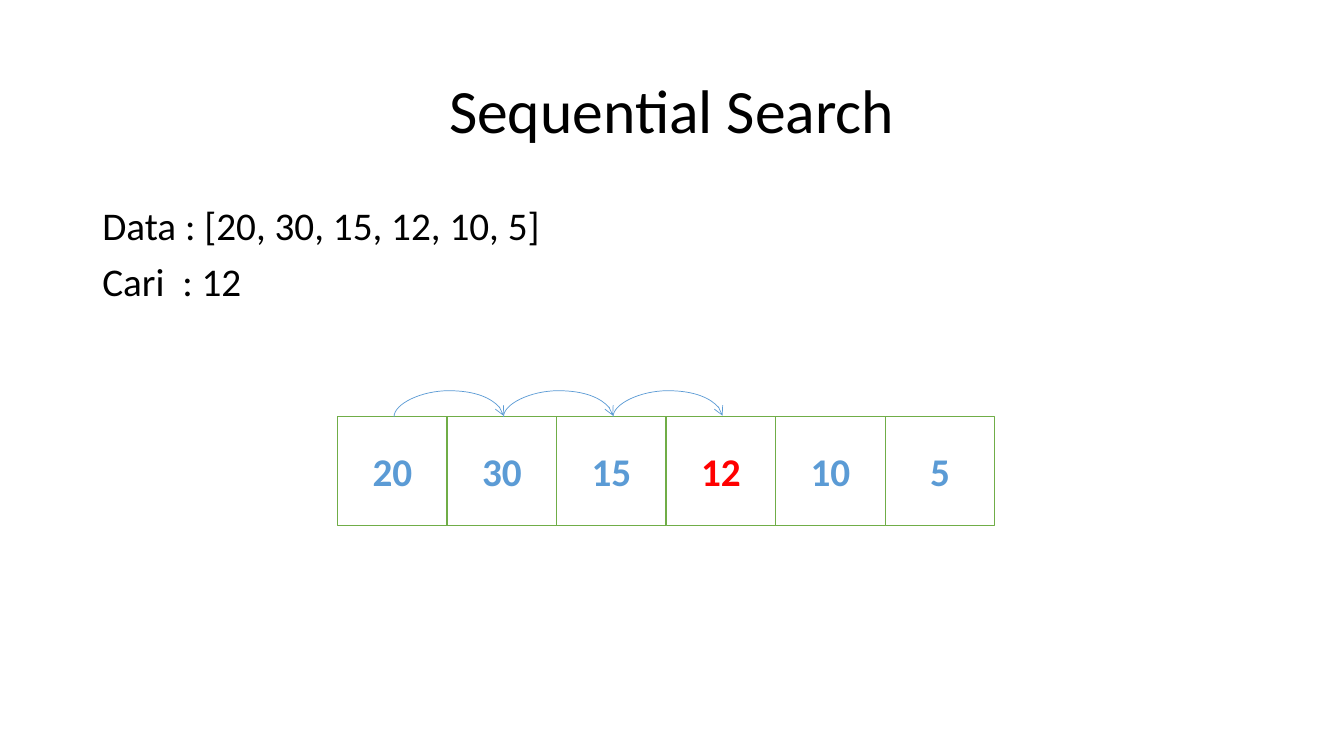
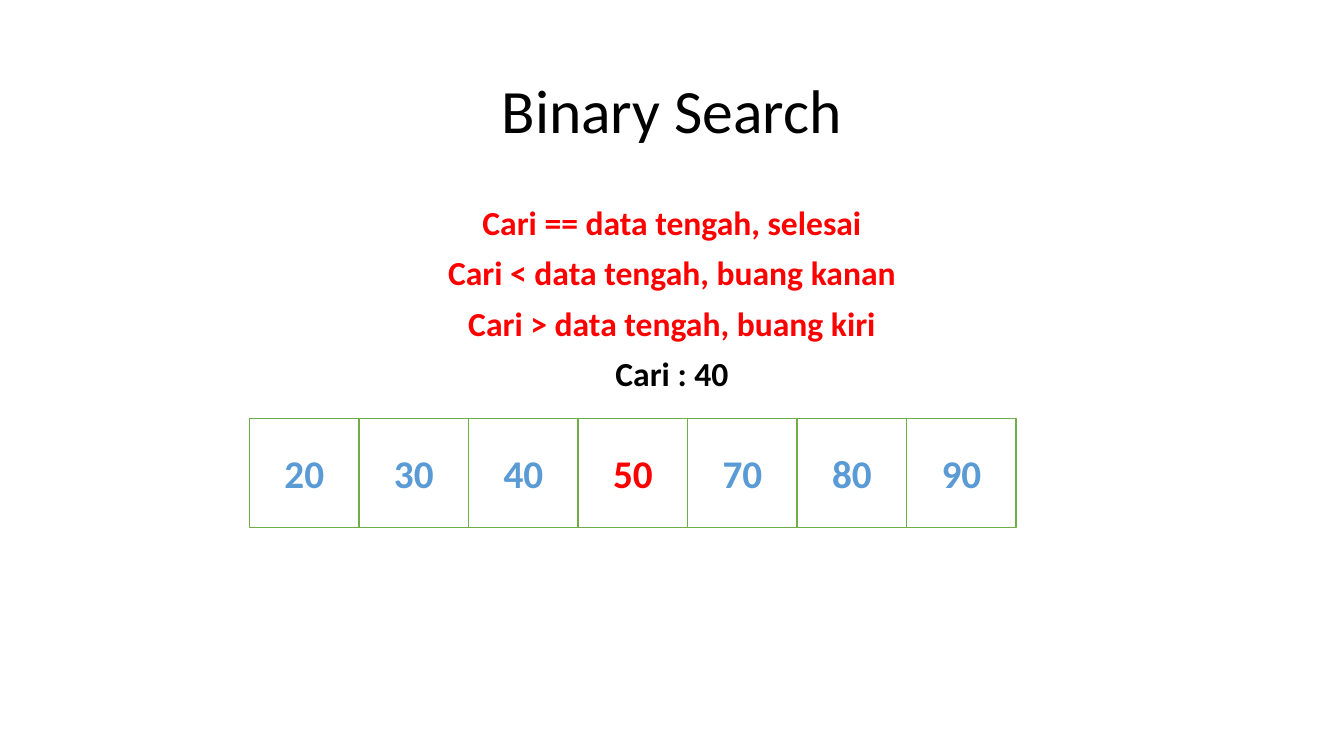
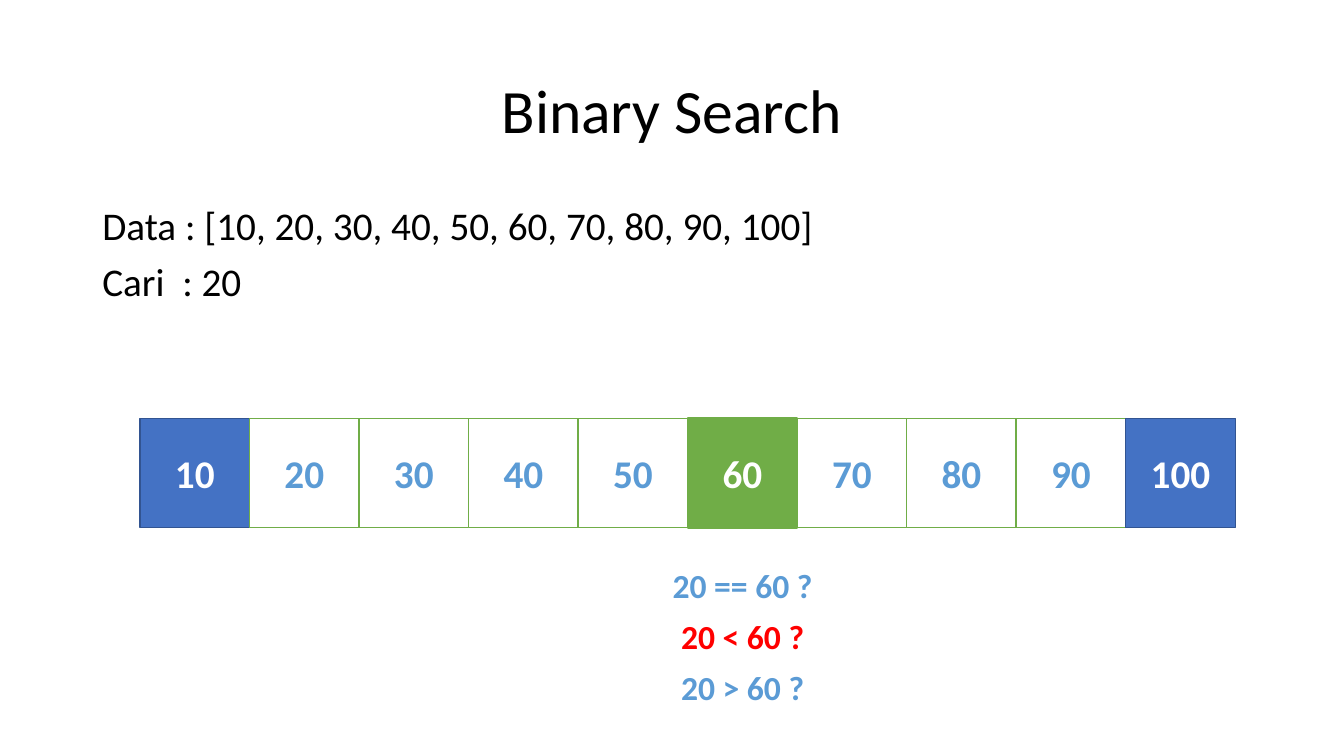
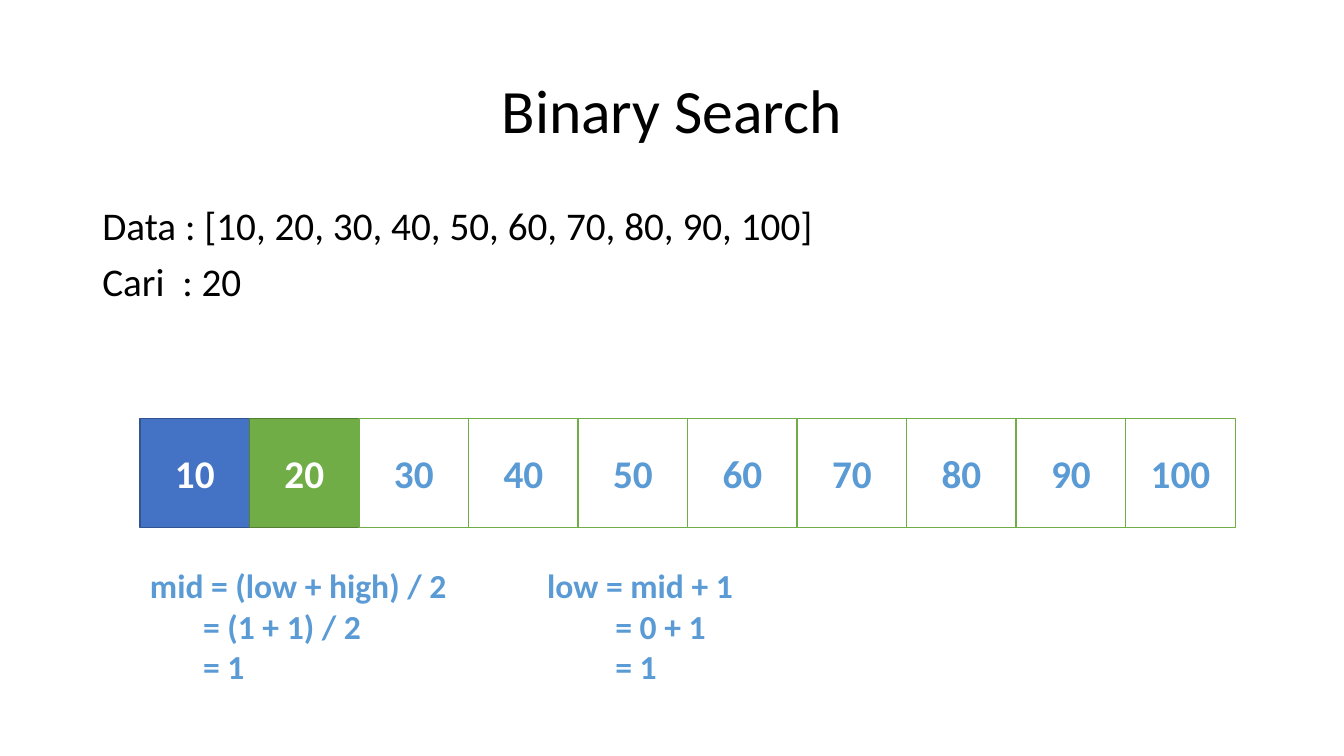
from lxml import etree
from pptx import Presentation
from pptx.dml.color import RGBColor
from pptx.enum import shapes, text
from pptx.oxml.ns import qn
from pptx.util import Cm, Pt

COLORS = {
    "black": "000000", "white": "FFFFFF", "red": "FF0000", "sky": "5B9BD5",
    "blue": "4472C4", "navy": "325491", "green": "70AD47", "forest": "538035",
}
FONT = "Calibri"
CELL = 2.76       # side of an array cell, cm
ROW_LEFT = 3.53   # first cell of the ten-cell array, cm
ROW_TOP = 10.54
NOTE_TOP = 14.12

# Cell states: fill, outline, outline width in points, number colour
STATES = {
    "plain": ("white", "green", 1, "sky"),
    "hit": ("white", "green", 1, "red"),
    "bound": ("blue", "navy", 1, "white"),
    "middle": ("green", "green", 1.5, "white"),
    "found": ("green", "forest", 1, "white"),
}

TENS = range(10, 101, 10)


def rgb(name):
    return RGBColor.from_string(COLORS[name])


def write(paragraph, words, size, color, bold=False, align=None):
    paragraph.alignment = align
    run = paragraph.add_run()
    run.text = words
    run.font.name = FONT
    run.font.size = Pt(size)
    run.font.bold = bold
    run.font.color.rgb = rgb(color)


def add_lines(slide, box, lines, size, bold=False, align=None,
              anchor=text.MSO_ANCHOR.TOP, spacing=None, before=0, indent=0):
    """Text box with one paragraph per (words, colour); indent starts at line two."""
    frame = slide.shapes.add_textbox(*map(Cm, box)).text_frame
    frame.word_wrap = True
    frame.vertical_anchor = anchor
    for i, (words, color) in enumerate(lines):
        paragraph = frame.add_paragraph() if i else frame.paragraphs[0]
        paragraph.line_spacing = spacing
        paragraph.space_before = Pt(before)
        if i and indent:
            paragraph._p.get_or_add_pPr().set("marL", str(Cm(indent)))
        write(paragraph, words, size, color, bold, align)


def add_title_slide(deck, title):
    slide = deck.slides.add_slide(deck.slide_layouts[6])
    add_lines(slide, (2.33, 1.01, 29.21, 3.68), [(title, "black")], 44,
              align=text.PP_ALIGN.CENTER, anchor=text.MSO_ANCHOR.MIDDLE, spacing=0.9)
    return slide


def add_body(slide, lines, size=28, bold=False, align=None):
    add_lines(slide, (2.33, 5.08, 29.21, 12.09), lines, size, bold, align,
              spacing=0.9, before=10)


def add_problem(slide, numbers, target):
    data = ", ".join(map(str, numbers))
    add_body(slide, [(f"Data : [{data}]", "black"), (f"Cari  : {target}", "black")])


def add_array(slide, numbers, left=ROW_LEFT, top=ROW_TOP, states=None):
    """Row of touching cells; states maps a number to its cell state."""
    for i, number in enumerate(numbers):
        fill, outline, width, color = STATES[(states or {}).get(number, "plain")]
        cell = slide.shapes.add_shape(
            shapes.MSO_SHAPE.RECTANGLE,
            Cm(left + i * CELL), Cm(top), Cm(CELL), Cm(CELL))
        cell.shadow.inherit = False
        cell.fill.solid()
        cell.fill.fore_color.rgb = rgb(fill)
        cell.line.color.rgb = rgb(outline)
        cell.line.width = Pt(width)
        cell.text_frame.vertical_anchor = text.MSO_ANCHOR.MIDDLE
        write(cell.text_frame.paragraphs[0], str(number), 28, color, True,
              text.PP_ALIGN.CENTER)


def add_hop(slide, start, top, rise=0.66, depth=0.03):
    """Curved arrow to the next cell: a thin upright connector turned by 270 degrees."""
    middle = start + CELL / 2
    hop = slide.shapes.add_connector(
        shapes.MSO_CONNECTOR.CURVE,
        Cm(middle - depth / 2), Cm(top - CELL / 2),
        Cm(middle + depth / 2), Cm(top + CELL / 2))
    hop.line.color.rgb = rgb("sky")
    hop.line.width = Pt(0.5)
    props = hop._element.spPr
    props.find(qn("a:xfrm")).set("rot", str(270 * 60000))
    guides = props.find(qn("a:prstGeom")).find(qn("a:avLst"))
    etree.SubElement(guides, qn("a:gd"), name="adj1",
                     fmla=f"val {round(rise / depth * 100000)}")
    etree.SubElement(props.find(qn("a:ln")), qn("a:tailEnd"), type="arrow")
    etree.SubElement(props, qn("a:effectLst"))


def sequential_slide(deck):
    slide = add_title_slide(deck, "Sequential Search")
    numbers = [20, 30, 15, 12, 10, 5]
    target, left, top = 12, 8.51, 10.49
    add_problem(slide, numbers, target)
    add_array(slide, numbers, left, top, {target: "hit"})
    for i in range(numbers.index(target)):
        add_hop(slide, left + (i + 0.5) * CELL + 0.04, top)


def rules_slide(deck):
    slide = add_title_slide(deck, "Binary Search")
    add_body(slide, [
        ("Cari == data tengah, selesai", "red"),
        ("Cari < data tengah, buang kanan", "red"),
        ("Cari > data tengah, buang kiri", "red"),
        ("Cari : 40", "black"),
    ], 24, True, text.PP_ALIGN.CENTER)
    add_array(slide, [20, 30, 40, 50, 70, 80, 90], ROW_LEFT + CELL,
              states={50: "hit"})


def compare_slide(deck):
    slide = add_title_slide(deck, "Binary Search")
    add_problem(slide, TENS, 20)
    add_array(slide, TENS, states={10: "bound", 60: "middle", 100: "bound"})
    # Questions below the middle cell
    for i, (sign, color) in enumerate([("==", "sky"), ("<", "red"), (">", "sky")]):
        add_lines(slide, (13.89, NOTE_TOP + i * 1.28, 9.65, 1.28),
                  [(f"20 {sign} 60 ?", color)], 24, True, text.PP_ALIGN.CENTER)


def found_slide(deck):
    slide = add_title_slide(deck, "Binary Search")
    add_problem(slide, TENS, 20)
    add_array(slide, TENS, states={10: "bound", 20: "found"})
    # Index calculations: left, width, indent of the later steps, steps
    calculations = [
        (13.54, 6.2, 1.72, ["low = mid + 1", "= 0 + 1", "= 1"]),
        (3.53, 8.97, 1.34, ["mid = (low + high) / 2", "= (1 + 1) / 2", "= 1"]),
    ]
    for left, width, indent, steps in calculations:
        add_lines(slide, (left, NOTE_TOP, width, 3.33),
                  [(step, "sky") for step in steps], 24, True, indent=indent)


def main():
    deck = Presentation()
    deck.slide_width, deck.slide_height = Cm(33.87), Cm(19.05)
    for build in (sequential_slide, rules_slide, compare_slide, found_slide):
        build(deck)
    deck.save("out.pptx")


if __name__ == "__main__":
    main()
